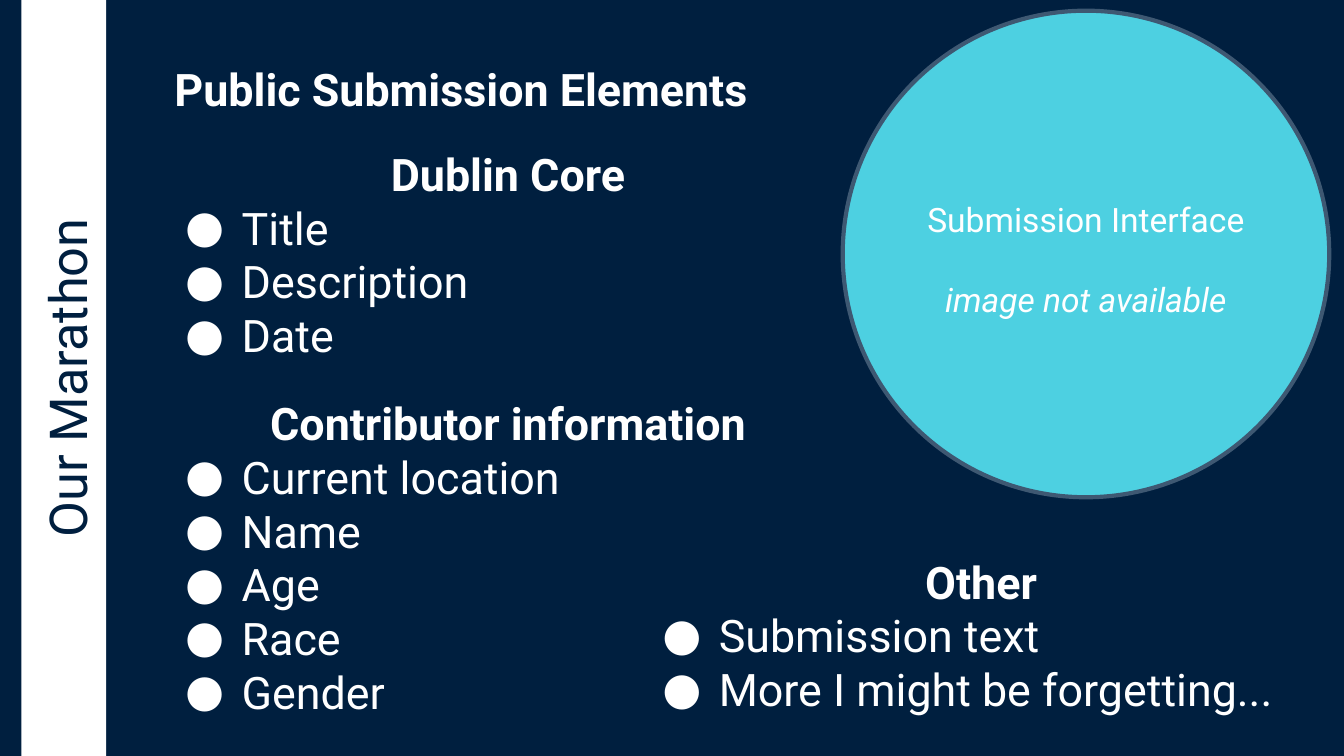
from lxml import etree
from pptx import Presentation
from pptx.dml.color import RGBColor
from pptx.enum.shapes import MSO_SHAPE
from pptx.enum.text import MSO_ANCHOR, MSO_AUTO_SIZE, PP_ALIGN
from pptx.oxml.ns import qn
from pptx.util import Inches, Pt

NAVY = RGBColor(0x00, 0x1F, 0x3F)
WHITE = RGBColor(0xFF, 0xFF, 0xFF)
CYAN = RGBColor(0x4D, 0xD0, 0xE1)
SLATE = RGBColor(0x3E, 0x58, 0x72)
CENTER, LEFT = PP_ALIGN.CENTER, PP_ALIGN.LEFT
TOP, NO_FIT = MSO_ANCHOR.TOP, MSO_AUTO_SIZE.NONE
OVAL = MSO_SHAPE.OVAL
FONT = "Roboto"

TITLE = "Our Marathon"
HEADING = "Public Submission Elements"
CAPTION = ["Submission Interface", "image not available"]
DUBLIN = ("Dublin Core", ["Title", "Description", "Date"])
CONTRIBUTOR = ("Contributor information",
               ["Current location", "Name", "Age", "Race", "Gender"])
OTHER = ("Other", ["Submission text", "More I might be forgetting..."])

W = 10
H = W * 9 / 16
LEFT_X, LEFT_W = 0.12 * W, 5.16
OTHER_X, OTHER_W = 4.75, 5.1
HEAD_Y, HEAD_H = 0.36, 0.63
DUBLIN_H, CONTRIBUTOR_H, OTHER_H = 1.85, 2.53, 1.35
BOTTOM = H - 0.25
DISC_X, DISC_Y, DISC_D = 6.27, 0.08, 3.62
CAPTION_Y, CAPTION_W, CAPTION_H = 1.38, 3.12, 1.08
BAND_X, BAND_W, BAND_L = 0.16, 0.63, 5.64


def add_text(tf, text, size=24, bold=False, italic=False, color=WHITE,
             align=LEFT, bullet=False, before=0):
    p = tf.paragraphs[0]
    if p.runs:
        p = tf.add_paragraph()
    p.alignment = align
    if before:
        p.space_before = Pt(before)
    if bullet:
        pPr = p._p.get_or_add_pPr()
        pPr.set("marL", str(Inches(0.5)))
        pPr.set("indent", str(Inches(-0.42)))
        buClr = etree.SubElement(pPr, qn("a:buClr"))
        etree.SubElement(buClr, qn("a:srgbClr"), val=str(WHITE))
        etree.SubElement(pPr, qn("a:buFont"), typeface=FONT)
        etree.SubElement(pPr, qn("a:buChar"), char="●")
    r = p.add_run()
    r.text = text
    f = r.font
    f.name, f.size, f.bold, f.italic = FONT, Pt(size), bold, italic
    f.color.rgb = color


def set_frame(tf):
    tf.word_wrap = True
    tf.auto_size = NO_FIT
    tf.vertical_anchor = TOP
    tf.margin_left = tf.margin_right = Inches(0.1)
    tf.margin_top = tf.margin_bottom = Inches(0.1)
    return tf


def add_box(s, x, y, w, h):
    return set_frame(s.shapes.add_textbox(*map(Inches, (x, y, w, h))).text_frame)


def add_block(s, block, x, y, w, h):
    head, items = block
    tf = add_box(s, x, y, w, h)
    add_text(tf, head, bold=True, align=CENTER)
    for item in items:
        add_text(tf, item, bullet=True)


prs = Presentation()
prs.slide_width, prs.slide_height = Inches(W), Inches(H)
s = prs.slides.add_slide(prs.slide_layouts[5])
s.background.fill.solid()
s.background.fill.fore_color.rgb = NAVY

band = s.shapes.title
band.left = Inches(BAND_X + (BAND_W - BAND_L) / 2)
band.top = Inches((H - BAND_W) / 2)
band.width, band.height = Inches(BAND_L), Inches(BAND_W)
band.rotation = 270
band.fill.solid()
band.fill.fore_color.rgb = WHITE
add_text(set_frame(band.text_frame), TITLE, size=28, color=NAVY, align=CENTER)

disc = s.shapes.add_shape(OVAL, *map(Inches, (DISC_X, DISC_Y, DISC_D, DISC_D)))
disc.shadow.inherit = False
disc.fill.solid()
disc.fill.fore_color.rgb = CYAN
disc.line.color.rgb = SLATE
disc.line.width = Pt(2.25)

tf = add_box(s, LEFT_X, HEAD_Y, LEFT_W, HEAD_H)
add_text(tf, HEADING, bold=True)

tf = add_box(s, DISC_X + (DISC_D - CAPTION_W) / 2, CAPTION_Y, CAPTION_W, CAPTION_H)
add_text(tf, CAPTION[0], size=18, align=CENTER)
add_text(tf, CAPTION[1], size=18, italic=True, align=CENTER, before=21.5)

add_block(s, DUBLIN, LEFT_X, HEAD_Y + HEAD_H, LEFT_W, DUBLIN_H)
add_block(s, OTHER, OTHER_X, BOTTOM - OTHER_H, OTHER_W, OTHER_H)
add_block(s, CONTRIBUTOR, LEFT_X, BOTTOM - CONTRIBUTOR_H, LEFT_W, CONTRIBUTOR_H)

prs.save("out.pptx")
